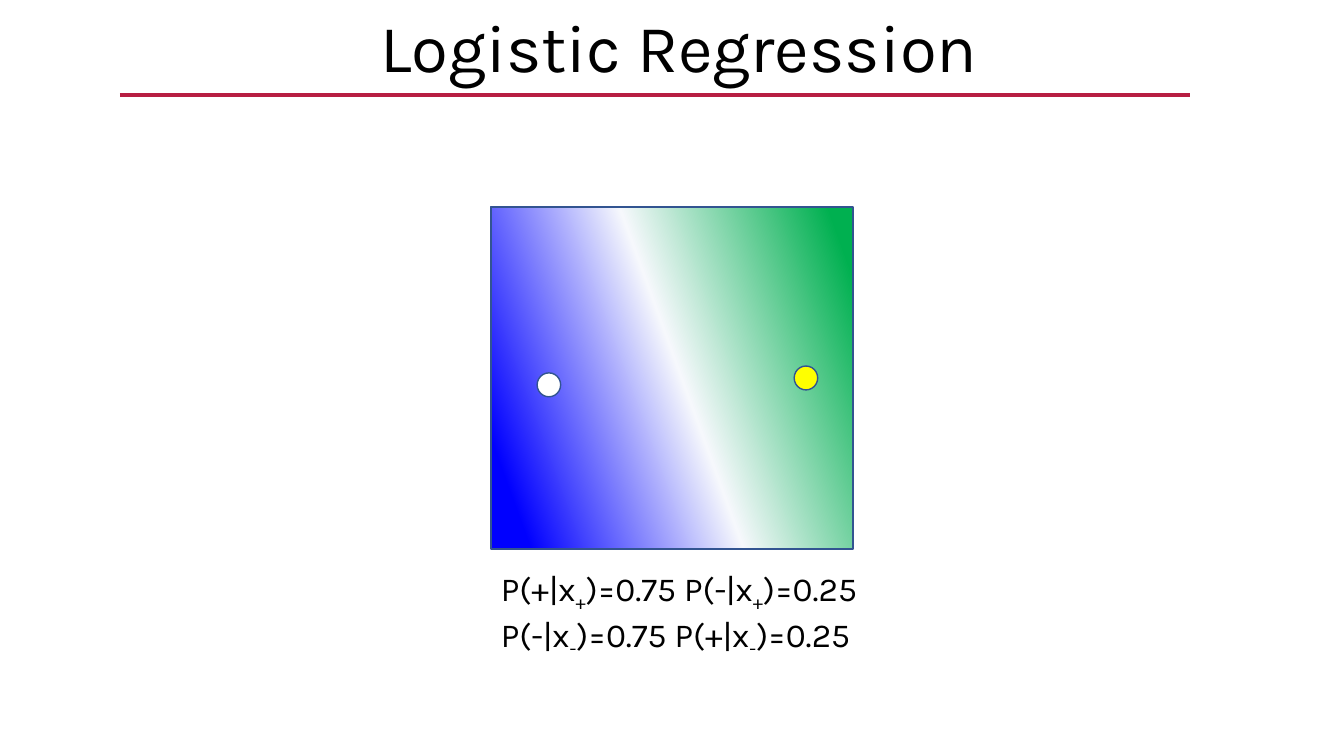
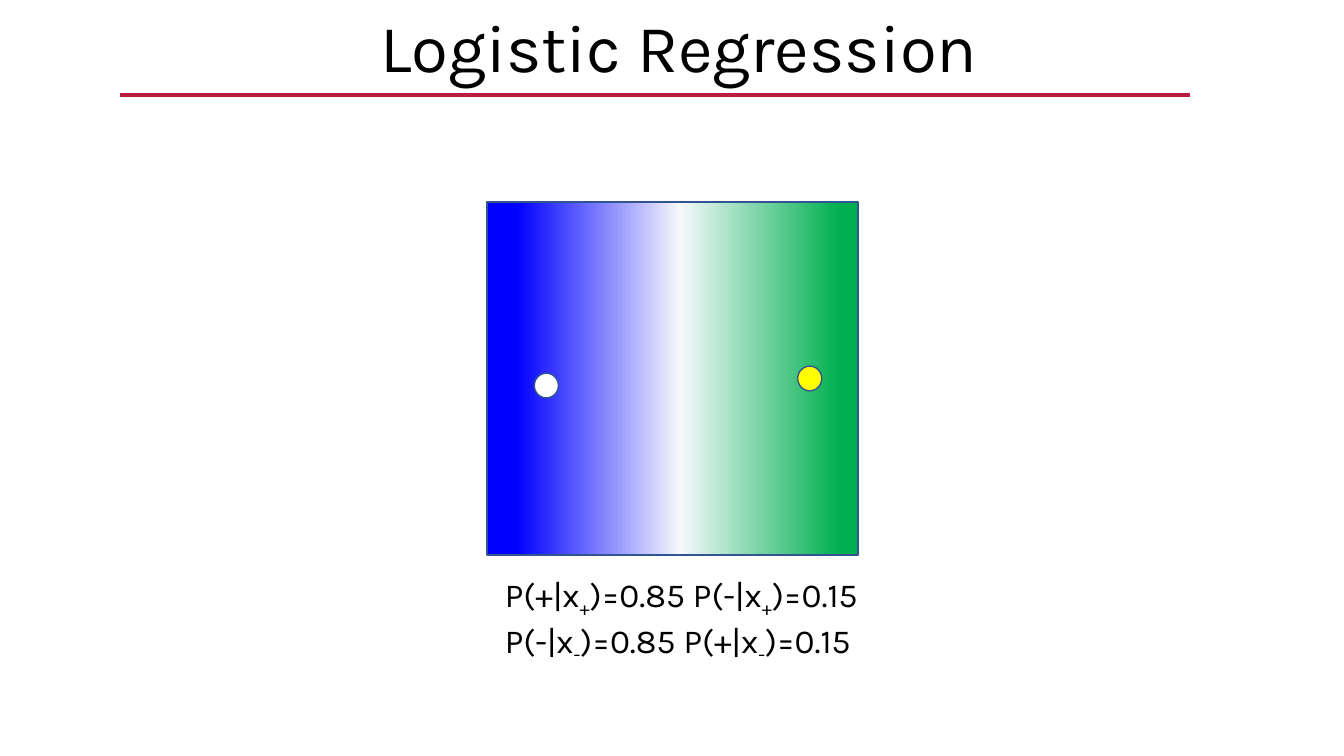
from copy import deepcopy

from lxml import etree
from pptx import Presentation
from pptx.dml.color import RGBColor
from pptx.enum.shapes import MSO_CONNECTOR, MSO_SHAPE
from pptx.enum.text import MSO_ANCHOR, MSO_AUTO_SIZE, PP_ALIGN
from pptx.oxml.ns import qn
from pptx.util import Pt

PX = 914400 / 100.8
SLIDE_W, SLIDE_H = 1344, 756
TITLE_ONLY = 5
FONT = "Karla"
INK, RULE, OUTLINE = "000000", "B71E42", "325491"
GRADIENT = [(0.05, "00B050"), (0.48, "F6F8FC"), (0.92, "0000FF")]
# Sample points: colour and centre as fractions of the panel
SAMPLES = [("FFFF00", 0.87, 0.5), ("FFFFFF", 0.16, 0.52)]
SAMPLE_W, SAMPLE_H = 0.065, 0.07

RECT, ELLIPSE = MSO_SHAPE.RECTANGLE, MSO_SHAPE.OVAL
STRAIGHT = MSO_CONNECTOR.STRAIGHT
TOP, CENTER = MSO_ANCHOR.TOP, PP_ALIGN.CENTER
NO_FIT, GROW = MSO_AUTO_SIZE.NONE, MSO_AUTO_SIZE.SHAPE_TO_FIT_TEXT


def px(*lengths):
    return [round(length * PX) for length in lengths]


def color(hex_code):
    return RGBColor.from_string(hex_code)


def style_run(run, size):
    run.font.name = FONT
    run.font.size = Pt(size)
    run.font.color.rgb = color(INK)


def add_header(slide, text):
    # Title
    title = slide.shapes.title
    title.left, title.top, title.width, title.height = px(7, 0, SLIDE_W, 92)
    frame = title.text_frame
    frame.text = text
    frame.word_wrap = True
    frame.auto_size = NO_FIT
    frame.vertical_anchor = TOP
    frame.paragraphs[0].alignment = CENTER
    style_run(frame.paragraphs[0].runs[0], 48)
    # Rule under the title
    rule = slide.shapes.add_connector(STRAIGHT, *px(120, 95, 1190, 95))
    rule.line.color.rgb = color(RULE)
    rule.line.width = Pt(2.5)
    etree.SubElement(rule._element.spPr, qn("a:effectLst"))


def add_outlined(shapes, kind, box):
    shape = shapes.add_shape(kind, *px(*box))
    shape.shadow.inherit = False
    shape.line.color.rgb = color(OUTLINE)
    shape.line.width = Pt(1)
    return shape


def fill_gradient(shape, clockwise_angle):
    shape.fill.gradient()
    shape.fill.gradient_angle = 360 - clockwise_angle
    stop_list = shape._element.spPr.find(".//" + qn("a:gsLst"))
    stop_list.append(deepcopy(stop_list[0]))
    for stop, (position, hex_code) in zip(shape.fill.gradient_stops, GRADIENT):
        stop.position = position
        stop.color.rgb = color(hex_code)


def add_probability_panel(slide, box, angle):
    left, top, width, height = box
    parts = slide.shapes.add_group_shape().shapes
    fill_gradient(add_outlined(parts, RECT, box), angle)
    # Sample points
    point_w, point_h = width * SAMPLE_W, height * SAMPLE_H
    for hex_code, x, y in SAMPLES:
        point_box = (left + width * x - point_w / 2,
                     top + height * y - point_h / 2, point_w, point_h)
        point = add_outlined(parts, ELLIPSE, point_box)
        point.fill.solid()
        point.fill.fore_color.rgb = color(hex_code)


def add_probabilities(slide, box, correct):
    frame = slide.shapes.add_textbox(*px(*box)).text_frame
    frame.word_wrap = True
    frame.auto_size = GROW
    lines = [frame.paragraphs[0], frame.add_paragraph()]
    for line, own, other in zip(lines, "+-", "-+"):
        pieces = [f"P({own}|x", own, f")={correct:.2f} P({other}|x", own,
                  f")={1 - correct:.2f}"]
        for index, piece in enumerate(pieces):
            run = line.add_run()
            run.text = piece
            style_run(run, 24)
            if index % 2:  # class sign as subscript
                run._r.get_or_add_rPr().set("baseline", "-25000")


def build_slide(deck, panel, angle, caption, correct):
    slide = deck.slides.add_slide(deck.slide_layouts[TITLE_ONLY])
    add_header(slide, "Logistic Regression")
    add_probability_panel(slide, panel, angle)
    add_probabilities(slide, caption, correct)


def main():
    deck = Presentation()
    deck.slide_width, deck.slide_height = px(SLIDE_W, SLIDE_H)
    build_slide(deck, (491, 207, 362, 342), 160, (491, 563, 387, 92), 0.75)
    build_slide(deck, (487, 202, 371, 353), 180, (495, 569, 387, 92), 0.85)
    deck.save("out.pptx")


if __name__ == "__main__":
    main()
